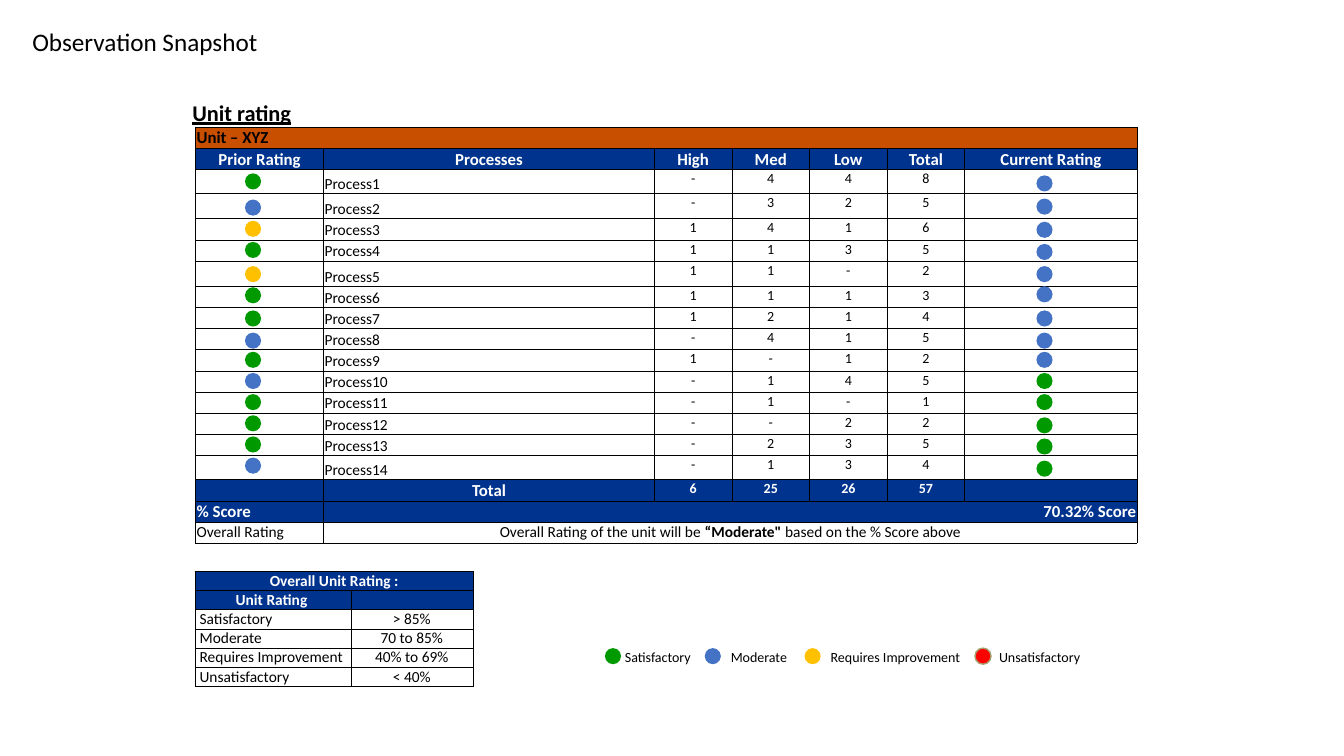
"""Build the Observation Snapshot slide with its unit rating tables and legend."""
import lxml.etree
import pptx
import pptx.dml.color
import pptx.enum.shapes
import pptx.enum.text
import pptx.oxml.ns
import pptx.util

Inches = pptx.util.Inches
RGBColor = pptx.dml.color.RGBColor
Align = pptx.enum.text.PP_ALIGN
Anchor = pptx.enum.text.MSO_ANCHOR
qn = pptx.oxml.ns.qn

BLACK = RGBColor(0x00, 0x00, 0x00)
WHITE = RGBColor(0xFF, 0xFF, 0xFF)
NAVY = RGBColor(0x00, 0x33, 0x8D)
ORANGE = RGBColor(0xC8, 0x4E, 0x00)
GREEN = RGBColor(0x00, 0x99, 0x00)
BLUE = RGBColor(0x44, 0x72, 0xC4)
AMBER = RGBColor(0xFF, 0xC0, 0x00)
RED = RGBColor(0xFF, 0x00, 0x00)
KHAKI = RGBColor(0xA7, 0x9E, 0x70)
RATING_COLORS = {"S": GREEN, "M": BLUE, "R": AMBER}


def write(frame, text, size=11, color=BLACK, bold=False, underline=None,
          align=Align.LEFT, spacing=None):
    """Write one paragraph; parts between double asterisks are bold."""
    paragraph = frame.paragraphs[0]
    paragraph.alignment = align
    paragraph.line_spacing = spacing
    for index, part in enumerate(text.split("**")):
        if part:
            run = paragraph.add_run()
            run.text = part
            run.font.name = "Calibri"
            run.font.size = pptx.util.Pt(size)
            run.font.bold = bold or index % 2 == 1
            run.font.underline = underline
            run.font.color.rgb = color
    if not text:
        lxml.etree.SubElement(paragraph._p, qn("a:endParaRPr"), sz=str(size * 100))


class Board:
    """Current slide together with its element styles."""

    dot_size = 0.16
    border_width = pptx.util.Pt(0.5)

    def __init__(self, slide):
        self.slide = slide

    def title(self, text, left, top, width, height):
        heading = self.slide.shapes.title
        heading.left, heading.top = Inches(left), Inches(top)
        heading.width, heading.height = Inches(width), Inches(height)
        heading.text_frame.vertical_anchor = Anchor.MIDDLE
        write(heading.text_frame, text, size=18, spacing=0.9)

    def label(self, text, left, top, width, height, wrap=True, **style):
        box = self.slide.shapes.add_textbox(
            Inches(left), Inches(top), Inches(width), Inches(height))
        box.text_frame.word_wrap = wrap
        box.text_frame.auto_size = pptx.enum.text.MSO_AUTO_SIZE.SHAPE_TO_FIT_TEXT
        write(box.text_frame, text, **style)

    def dot(self, left, top, color, outline=None):
        circle = self.slide.shapes.add_shape(
            pptx.enum.shapes.MSO_SHAPE.OVAL, Inches(left), Inches(top),
            Inches(self.dot_size), Inches(self.dot_size))
        circle.shadow.inherit = False
        circle.fill.solid()
        circle.fill.fore_color.rgb = color
        if outline is None:
            circle.line.fill.background()
        else:
            circle.line.color.rgb = outline
            circle.line.width = pptx.util.Pt(1)

    def table(self, left, top, widths, heights):
        grid = self.slide.shapes.add_table(
            len(heights), len(widths), Inches(left), Inches(top),
            Inches(sum(widths)), Inches(sum(heights))).table
        grid.first_row = grid.horz_banding = False
        for column, width in zip(grid.columns, widths):
            column.width = Inches(width)
        for row, height in zip(grid.rows, heights):
            row.height = Inches(height)
        return grid

    def cell(self, cell, text="", fill=WHITE, insets=(0.01, 0.01, 0.01, 0),
             anchor=Anchor.TOP, sides="LRTB", **style):
        cell.margin_left, cell.margin_top, cell.margin_right, cell.margin_bottom = map(
            Inches, insets)
        cell.vertical_anchor = anchor
        properties = cell._tc.get_or_add_tcPr()
        for side in "LRTB":
            line = lxml.etree.SubElement(
                properties, qn(f"a:ln{side}"), w=str(self.border_width))
            if side in sides:
                solid = lxml.etree.SubElement(line, qn("a:solidFill"))
                lxml.etree.SubElement(solid, qn("a:srgbClr"), val=str(BLACK))
            else:
                lxml.etree.SubElement(line, qn("a:noFill"))
        cell.fill.solid()
        cell.fill.fore_color.rgb = fill
        write(cell.text_frame, text, **style)


deck = pptx.Presentation()
deck.slide_width, deck.slide_height = Inches(13.33), Inches(7.5)
board = Board(deck.slides.add_slide(deck.slide_layouts[5]))
board.title("Observation Snapshot", 0.22, 0.08, 12.46, 0.71)

header = {"fill": NAVY, "color": WHITE, "bold": True}
centered = {"align": Align.CENTER}

key_cells = {"insets": (0.04, 0, 0.04, 0), "anchor": Anchor.MIDDLE}
bands = [("Satisfactory", "> 85%"), ("Moderate", "70 to 85%"),
         ("Requires Improvement", "40% to 69%"), ("Unsatisfactory", "< 40%")]
key = board.table(1.94, 5.67, [1.54, 1.06, 0.15], [0.19] * 6)
key.cell(0, 0).merge(key.cell(0, 2))
for column, sides in enumerate(["LRTB", "LTB", "RTB"]):
    board.cell(key.cell(0, column), "" if column else "Overall Unit Rating :",
               **header, **centered, **key_cells)
    board.cell(key.cell(1, column), "" if column else "Unit Rating ",
               sides=sides, **header, **centered, **key_cells)
for row, (rating, band) in enumerate(bands, 2):
    key.cell(row, 1).merge(key.cell(row, 2))
    board.cell(key.cell(row, 0), rating, **key_cells)
    for column, text in enumerate([band, ""], 1):
        board.cell(key.cell(row, column), text, **centered, **key_cells)

board.label("Unit rating", 1.81, 0.93, 1.2, 0.37, wrap=False,
            size=16, bold=True, underline=True)

legend = [(6, 6.1, 0.92, GREEN, None), (6.99, 7.15, 0.95, BLUE, None),
          (7.98, 8.14, 1.52, AMBER, None), (9.67, 9.81, 1.12, RED, KHAKI)]
for (rating, _), (dot_left, text_left, width, color, outline) in zip(bands, legend):
    board.dot(dot_left, 6.43, color, outline)
    board.label(rating, text_left, 6.38, width, 0.27, size=10)

findings = [(0, 4, 4), (0, 3, 2), (1, 4, 1), (1, 1, 3), (1, 1, 0), (1, 1, 1), (1, 2, 1),
            (0, 4, 1), (1, 0, 1), (0, 1, 4), (0, 1, 0), (0, 0, 2), (0, 2, 3), (0, 1, 3)]
process_heights = [0.24, 0.25, 0.21, 0.21, 0.25] + [0.21] * 8 + [0.24]
unit = board.table(1.94, 1.26, [1.27, 3.28] + [0.77] * 4 + [1.71],
                   [0.21] * 2 + process_heights + [0.21] * 3)
column_names = ["Prior Rating", "Processes", "High", "Med", "Low", "Total", "Current Rating"]
for column, name in enumerate(column_names):
    sides = "TB" + {0: "L", 6: "R"}.get(column, "")
    board.cell(unit.cell(0, column), "" if column else "Unit – XYZ",
               fill=ORANGE, sides=sides, size=12, bold=True)
    board.cell(unit.cell(1, column), name, size=12, **header, **centered)

for row, counts in enumerate(findings, 2):
    board.cell(unit.cell(row, 0), size=10)
    board.cell(unit.cell(row, 1), f"Process{row - 1}", anchor=Anchor.BOTTOM)
    for column, count in enumerate([*counts, sum(counts)], 2):
        board.cell(unit.cell(row, column), str(count or "-"), size=10, **centered)
    board.cell(unit.cell(row, 6), size=10)

total_row = len(findings) + 2
severity_totals = [sum(counts) for counts in zip(*findings)]
totals = ["", "Total", *severity_totals, sum(severity_totals), ""]
for column, total in enumerate(totals):
    board.cell(unit.cell(total_row, column), str(total),
               size=12 if column == 1 else 10, **header, **centered)

summaries = [
    ("% Score", "70.32% Score", Align.RIGHT, {"size": 12, **header}),
    ("Overall Rating",
     "Overall Rating of the unit will be** “Moderate\" **based on the % Score above",
     Align.CENTER, {}),
]
for row, (name, result, align, style) in enumerate(summaries, total_row + 1):
    unit.cell(row, 1).merge(unit.cell(row, 6))
    board.cell(unit.cell(row, 0), name, **style)
    for column in range(1, 7):
        board.cell(unit.cell(row, column), result if column == 1 else "",
                   align=align, **style)

rating_columns = [
    (10.28, "MMMMMMMMMSSSSS", [1.74, 1.97, 2.2, 2.42, 2.64, 2.84, 3.08,
                               3.3, 3.49, 3.7, 3.91, 4.14, 4.35, 4.57]),
    (2.43, "SMRSRSSMSMSSSM", [1.72, 1.98, 2.19, 2.4, 2.64, 2.85, 3.08,
                              3.3, 3.49, 3.7, 3.91, 4.12, 4.33, 4.54]),
]
for left, ratings, tops in rating_columns:
    for rating, top in zip(ratings, tops):
        board.dot(left, top, RATING_COLORS[rating])

deck.save("out.pptx")
